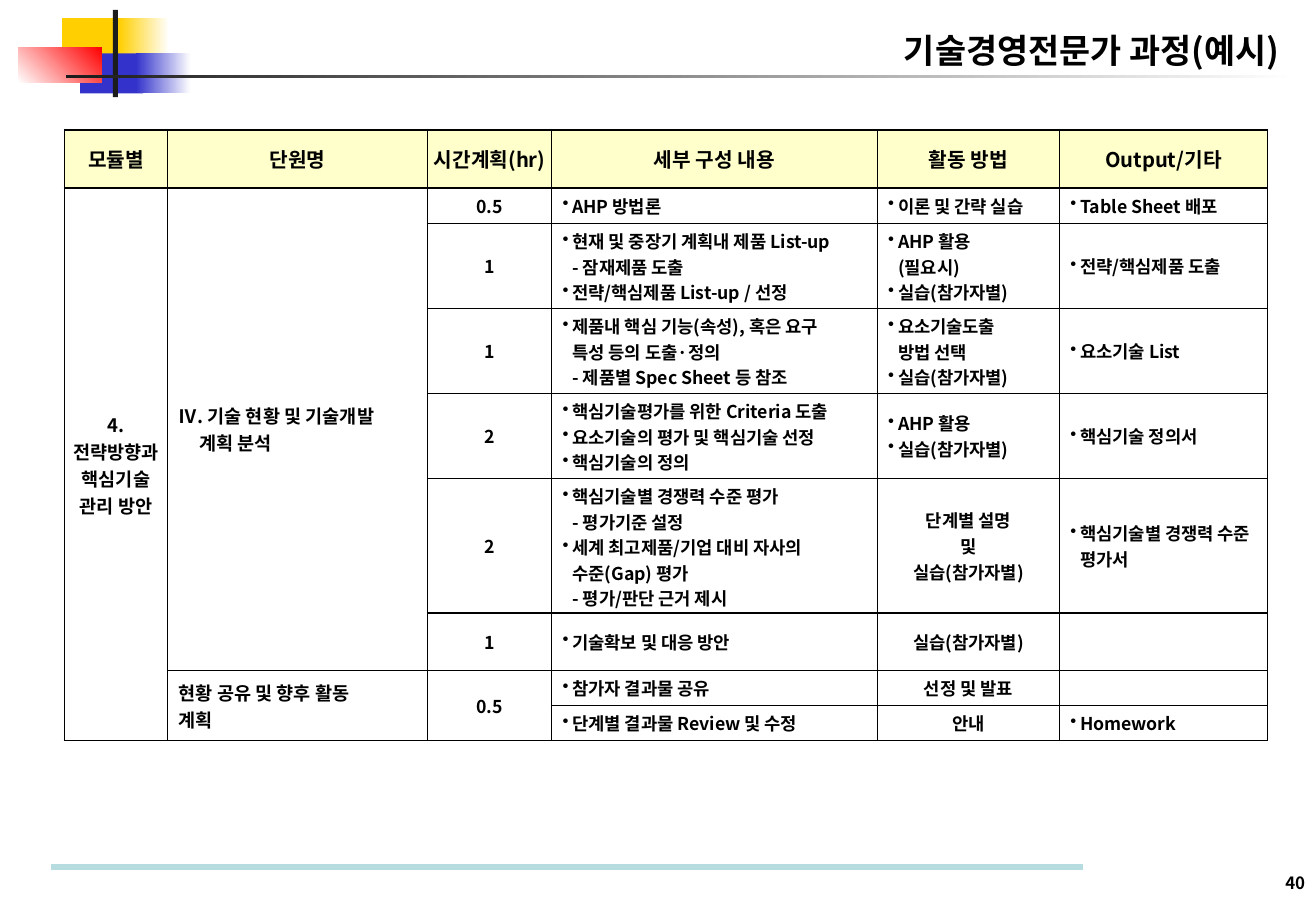
from copy import deepcopy

from lxml.etree import SubElement
from pptx import Presentation
from pptx.dml.color import RGBColor
from pptx.enum.shapes import MSO_CONNECTOR, MSO_SHAPE
from pptx.enum.text import MSO_ANCHOR, PP_ALIGN
from pptx.oxml.ns import qn
from pptx.util import Inches, Pt

LEFT, MID, RIGHT = PP_ALIGN.LEFT, PP_ALIGN.CENTER, PP_ALIGN.RIGHT
CENTRE = MSO_ANCHOR.MIDDLE
RECT, LINE = MSO_SHAPE.RECTANGLE, MSO_CONNECTOR.STRAIGHT

FONT = "Noto Sans CJK KR"
HUES = {
    "ink": "000000", "paper": "FFFFFF", "head": "FFFFCC", "gold": "FFCF01",
    "blue": "3333CC", "red": "FF0000", "coal": "1C1C1C", "foot": "B6DCDF",
}
# First letter of a paragraph: left margin and first-line indent, % of slide width
MARKS = {"•": (0.75, -0.75), "-": (0.75, 0), "Ⅳ": (1.57, -1.57)}

# Left, top, width, height in % of the slide; start hue, end hue, angle
DECOR = [
    (4.71, 2, 4.99, 4.4, "gold", None, 0),
    (9.05, 2, 3.79, 4.4, "gold", "paper", 0),
    (6.09, 5.87, 4.8, 4.4, "blue", None, 0),
    (10.34, 5.87, 4.16, 4.4, "blue", "paper", 0),
    (1.39, 5.2, 6.37, 3.87, "paper", "red", 45),
    (8.59, 1.07, 0.37, 9.6, "coal", None, 0),
    (4.99, 8.27, 93.63, 0.27, "coal", "paper", 0),
]
COLS = [7.85, 19.76, 9.42, 24.75, 13.85, 15.79]
ROWS = [6.27, 3.87, 9.33, 9.33, 9.33, 14.8, 6.27, 3.87, 3.87]
SPANS = [(1, 0, 8), (1, 1, 6), (7, 1, 8), (7, 2, 8)]  # first row, column, last row
# "|" parts paragraphs, a newline breaks a line inside one
PLAN = [
    ["모듈별", "단원명", "시간계획(hr)", "세부 구성 내용", "활동 방법", "Output/기타"],
    ["4.|전략방향과 핵심기술 관리 방안", "Ⅳ. 기술 현황 및 기술개발\n계획 분석", "0.5",
     "•AHP 방법론", "•이론 및 간략 실습", "•Table Sheet 배포"],
    [None, None, "1",
     "•현재 및 중장기 계획내 제품 List-up|- 잠재제품 도출|•전략/핵심제품 List-up / 선정",
     "•AHP 활용\n(필요시)|•실습(참가자별)", "•전략/핵심제품 도출"],
    [None, None, "1",
     "•제품내 핵심 기능(속성), 혹은 요구\n특성 등의 도출·정의|- 제품별 Spec Sheet 등 참조",
     "•요소기술도출\n방법 선택|•실습(참가자별)", "•요소기술 List"],
    [None, None, "2",
     "•핵심기술평가를 위한 Criteria 도출|•요소기술의 평가 및 핵심기술 선정|•핵심기술의 정의",
     "•AHP 활용|•실습(참가자별)", "•핵심기술 정의서"],
    [None, None, "2",
     "•핵심기술별 경쟁력 수준 평가|- 평가기준 설정|"
     "•세계 최고제품/기업 대비 자사의\n수준(Gap) 평가|- 평가/판단 근거 제시",
     "단계별 설명|및|실습(참가자별)", "•핵심기술별 경쟁력 수준 평가서"],
    [None, None, "1", "•기술확보 및 대응 방안", "실습(참가자별)", ""],
    [None, "현황 공유 및 향후 활동\n계획", "0.5", "•참가자 결과물 공유", "선정 및 발표", ""],
    [None, None, None, "•단계별 결과물 Review 및 수정", "안내", "•Homework"],
]


def apply(item, **form):
    for key, val in form.items():
        setattr(item, key, val)


class Deck:
    def __init__(self, wide, high):
        self.prs = Presentation()
        apply(self.prs, slide_width=Inches(wide), slide_height=Inches(high))
        self.slide = self.prs.slides.add_slide(self.prs.slide_layouts[5])
        self.shapes = self.slide.shapes

    def x(self, share):
        return round(self.prs.slide_width * share / 100)

    def y(self, share):
        return round(self.prs.slide_height * share / 100)

    def area(self, left, top, wide, high):
        return self.x(left), self.y(top), self.x(wide), self.y(high)

    def hue(self, name):
        return RGBColor.from_string(HUES[name])

    def fill_text(self, frame, text, size, align):
        """Fill a frame; marked paragraphs are indented and set left."""
        for num, part in enumerate(text.split("|")):
            para = frame.add_paragraph() if num else frame.paragraphs[0]
            mark = part[:1]
            para.text = part.lstrip("•")
            para.alignment = LEFT if mark in MARKS else align
            if mark in MARKS:
                margin, indent = MARKS[mark]
                props = para._p.get_or_add_pPr()
                props.set("marL", str(self.x(margin)))
                props.set("indent", str(self.x(indent)))
                if mark == "•":
                    SubElement(props, qn("a:buChar"), char=mark)
            for run in para.runs:
                apply(run.font, name=FONT, size=Pt(size), bold=True)
                run.font.color.rgb = self.hue("ink")
                SubElement(run._r.rPr, qn("a:ea"), typeface=FONT)
            for gap in para._p.findall(qn("a:br")):
                gap.insert(0, deepcopy(para.runs[0]._r.rPr))
            if not part:
                SubElement(para._p, qn("a:endParaRPr"), sz=str(round(size * 100)))

    def block(self, left, top, wide, high, start, end, angle):
        shape = self.shapes.add_shape(RECT, *self.area(left, top, wide, high))
        shape.shadow.inherit = False
        shape.line.fill.background()
        if end:
            shape.fill.gradient()
            shape.fill.gradient_angle = angle
            for stop, name in zip(shape.fill.gradient_stops, (start, end)):
                stop.color.rgb = self.hue(name)
        else:
            shape.fill.solid()
            shape.fill.fore_color.rgb = self.hue(start)

    def rule(self, left, right, top, name, width):
        line = self.shapes.add_connector(
            LINE, self.x(left), self.y(top), self.x(right), self.y(top))
        line.line.color.rgb = self.hue(name)
        line.line.width = Pt(width)
        SubElement(line._element.spPr, qn("a:effectLst"))

    def title(self, text, area, size):
        shape = self.shapes.title
        apply(shape, **dict(zip(("left", "top", "width", "height"), self.area(*area))))
        apply(shape.text_frame, vertical_anchor=CENTRE, word_wrap=True)
        self.fill_text(shape.text_frame, text, size, RIGHT)

    def label(self, text, area, size):
        frame = self.shapes.add_textbox(*self.area(*area)).text_frame
        apply(frame, vertical_anchor=CENTRE, word_wrap=False)
        self.fill_text(frame, text, size, RIGHT)

    def edge(self, cell):
        """Draw all four borders of a cell."""
        props = cell._tc.get_or_add_tcPr()
        for side in "LRTB":
            line = SubElement(props, qn("a:ln" + side), w=str(Pt(1)))
            fill = SubElement(line, qn("a:solidFill"))
            SubElement(fill, qn("a:srgbClr"), val=HUES["ink"])

    def table(self, left, top, cols, rows, data, spans):
        area = self.area(left, top, sum(cols), sum(rows))
        table = self.shapes.add_table(len(rows), len(cols), *area).table
        apply(table, first_row=False, horz_banding=False)
        for col, share in zip(table.columns, cols):
            col.width = self.x(share)
        for row, share in zip(table.rows, rows):
            row.height = self.y(share)
        for first, col, last in spans:
            table.cell(first, col).merge(table.cell(last, col))
        for r, line in enumerate(data):
            for c, text in enumerate(line):
                cell = table.cell(r, c)
                self.edge(cell)
                cell.fill.solid()
                cell.fill.fore_color.rgb = self.hue("paper" if r else "head")
                side = self.x(0.83 if r and c else 0.37)
                apply(cell, vertical_anchor=CENTRE, margin_left=side, margin_right=side,
                      margin_top=self.y(0.53), margin_bottom=self.y(0.53))
                size = 12 if r == 0 else 11 if c < 2 else 10.5
                align = LEFT if r and c == 1 else MID
                self.fill_text(cell.text_frame, text or "", size, align)


def main():
    deck = Deck(10.83, 7.5)
    for item in DECOR:
        deck.block(*item)
    deck.rule(3.88, 82.27, 95.2, "foot", 3.5)
    deck.title("기술경영전문가 과정(예시)", (65, 2.53, 33.15, 5.87), 20)
    deck.label("40", (96.49, 95.07, 3.6, 3.6), 10)
    deck.table(4.89, 14.27, COLS, ROWS, PLAN, SPANS)
    deck.prs.save("out.pptx")


if __name__ == "__main__":
    main()
